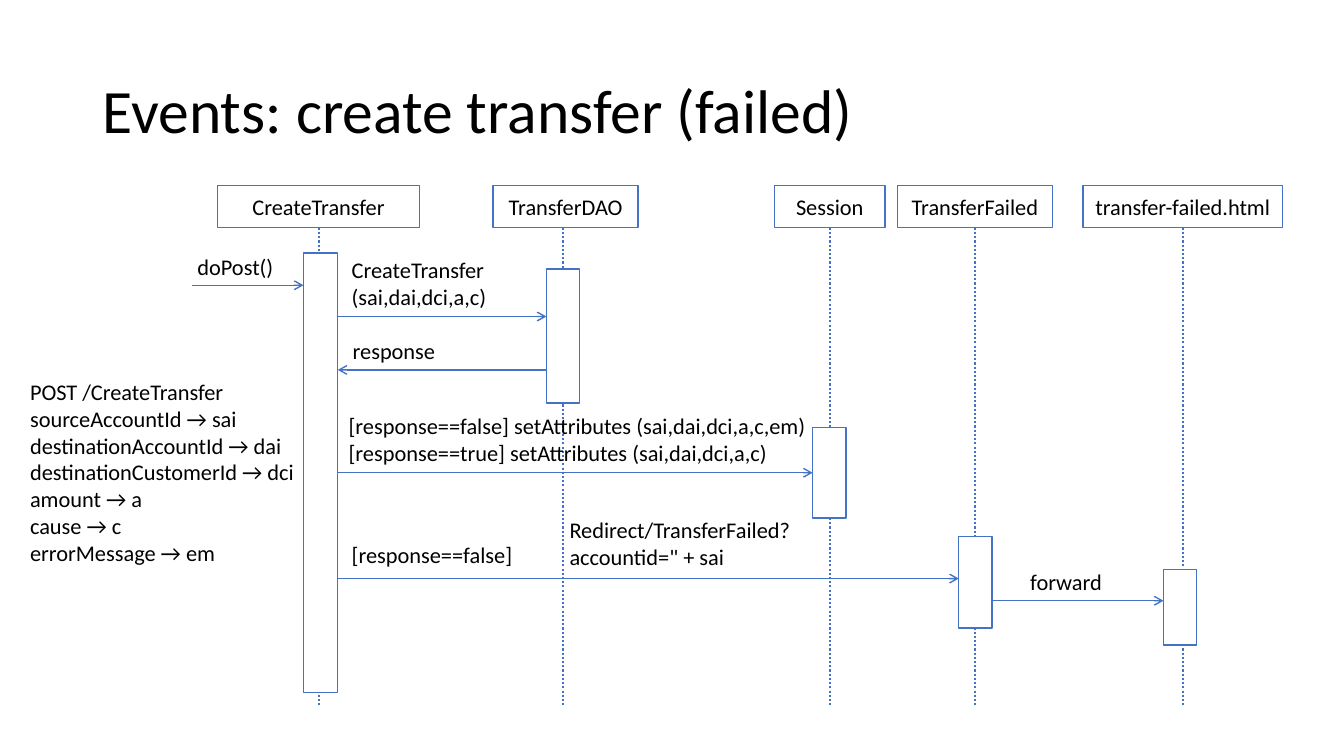
"""Builds a sequence diagram slide for a failed transfer."""
from lxml import etree
from pptx import Presentation
from pptx import util as u
from pptx.dml.color import RGBColor
from pptx.enum import dml, shapes, text
from pptx.oxml.ns import qn

COLORS = {"blue": "4472C4", "white": "FFFFFF", "black": "000000"}
HEAD_TOP, HEAD_HEIGHT = 1.84, 0.42
LIFELINE_LENGTH = 4.75

presentation = Presentation()
presentation.slide_width = u.Inches(13.33)
presentation.slide_height = u.Inches(7.5)
slide = presentation.slides.add_slide(presentation.slide_layouts[6])


def write(shape, paragraphs, size=16, align=text.PP_ALIGN.LEFT):
    frame = shape.text_frame
    for index, content in enumerate(paragraphs):
        paragraph = frame.paragraphs[0] if index == 0 else frame.add_paragraph()
        paragraph.alignment = align
        for number, line in enumerate(content.split("\n")):
            if number:
                paragraph.add_line_break()
            run = paragraph.add_run()
            run.text = line
            run.font.size = u.Pt(size)
            run.font.name = "Calibri"
            run.font.color.rgb = RGBColor.from_string(COLORS["black"])


def add_line(x1, y1, x2, y2, width):
    line = slide.shapes.add_connector(
        shapes.MSO_CONNECTOR.STRAIGHT,
        u.Inches(x1), u.Inches(y1), u.Inches(x2), u.Inches(y2))
    line.line.color.rgb = RGBColor.from_string(COLORS["blue"])
    line.line.width = u.Pt(width)
    etree.SubElement(line._element.spPr, qn("a:effectLst"))
    return line


title = slide.shapes.add_textbox(
    u.Inches(0.92), u.Inches(0.4), u.Inches(11.5), u.Inches(1.45))
title.text_frame.word_wrap = True
title.text_frame.vertical_anchor = text.MSO_ANCHOR.MIDDLE
write(title, ["Events: create transfer (failed)"], 44)
title.text_frame.paragraphs[0].line_spacing = 0.9

# name: head left, head width, lifeline x, bar left, bar top, bar width, bar height
participants = {
    "CreateTransfer": (2.16, 2, 3.16, 3.01, 2.51, 0.34, 4.36),
    "TransferDAO": (4.89, 1.44, 5.58, 5.42, 2.67, 0.33, 1.33),
    "Session": (7.68, 1.1, 8.24, 8.06, 4.24, 0.33, 0.9),
    "TransferFailed": (8.9, 1.54, 9.67, 9.51, 5.32, 0.33, 0.91),
    "transfer-failed.html": (10.74, 1.98, 11.72, 11.54, 5.65, 0.33, 0.75),
}
bars = {}
for name, (left, width, axis, bar_left, bar_top, bar_width, bar_height) in participants.items():
    head_bottom = HEAD_TOP + HEAD_HEIGHT
    lifeline = add_line(axis, head_bottom, axis, head_bottom + LIFELINE_LENGTH, 1.5)
    lifeline.line.dash_style = dml.MSO_LINE.ROUND_DOT
    boxes = []
    for box in ((left, HEAD_TOP, width, HEAD_HEIGHT),
                (bar_left, bar_top, bar_width, bar_height)):
        shape = slide.shapes.add_shape(
            shapes.MSO_SHAPE.RECTANGLE, *[u.Inches(value) for value in box])
        shape.shadow.inherit = False
        shape.fill.solid()
        shape.fill.fore_color.rgb = RGBColor.from_string(COLORS["white"])
        shape.line.color.rgb = RGBColor.from_string(COLORS["blue"])
        shape.line.width = u.Pt(1)
        boxes.append(shape)
    head, bars[name] = boxes
    head.text_frame.word_wrap = False
    head.text_frame.vertical_anchor = text.MSO_ANCHOR.MIDDLE
    write(head, [name], align=text.PP_ALIGN.CENTER)
    if abs(left + width / 2 - axis) < 0.02:
        lifeline.begin_connect(head, 2)
        lifeline.end_x = lifeline.begin_x

arrows = {}
for name, start, end, y in (
    ("doPost", 1.9, 3.01, 2.83),
    ("create", 3.35, 5.42, 3.14),
    ("response", 5.42, 3.35, 3.67),
    ("setAttributes", 3.35, 8.06, 4.69),
    ("redirect", 3.35, 9.51, 5.74),
    ("forward", 9.84, 11.54, 5.96),
):
    arrows[name] = add_line(start, y, end, y, 1)
    outline = arrows[name].line._get_or_add_ln()
    etree.SubElement(outline, qn("a:tailEnd"), type="arrow")
arrows["setAttributes"].begin_connect(bars["CreateTransfer"], 3)
arrows["setAttributes"].end_connect(bars["Session"], 1)

for left, top, width, height, wrap, paragraphs in (
    (1.86, 2.46, 0.97, 0.37, False, ["doPost()"]),
    (3.39, 2.49, 1.55, 0.64, False, ["CreateTransfer\n(sai,dai,dci,a,c)"]),
    (3.4, 3.3, 1.03, 0.37, False, ["response"]),
    (3.36, 4.04, 4.8, 0.64, True, [
        "[response==false] setAttributes (sai,dai,dci,a,c,em)",
        "[response==true] setAttributes (sai,dai,dci,a,c)"]),
    (3.39, 5.32, 1.81, 0.37, False, ["[response==false]"]),
    (5.55, 5.07, 3.01, 0.91, True, ["Redirect/TransferFailed?\naccountid=\" + sai"]),
    (10.12, 5.59, 0.97, 0.37, True, ["forward"]),
    (0.2, 3.7, 3.16, 1.99, True, [
        "POST /CreateTransfer", "sourceAccountId → sai",
        "destinationAccountId → dai", "destinationCustomerId → dci",
        "amount → a", "cause → c", "errorMessage → em"]),
):
    label = slide.shapes.add_textbox(
        u.Inches(left), u.Inches(top), u.Inches(width), u.Inches(height))
    label.text_frame.word_wrap = wrap
    write(label, paragraphs)

presentation.save("out.pptx")
